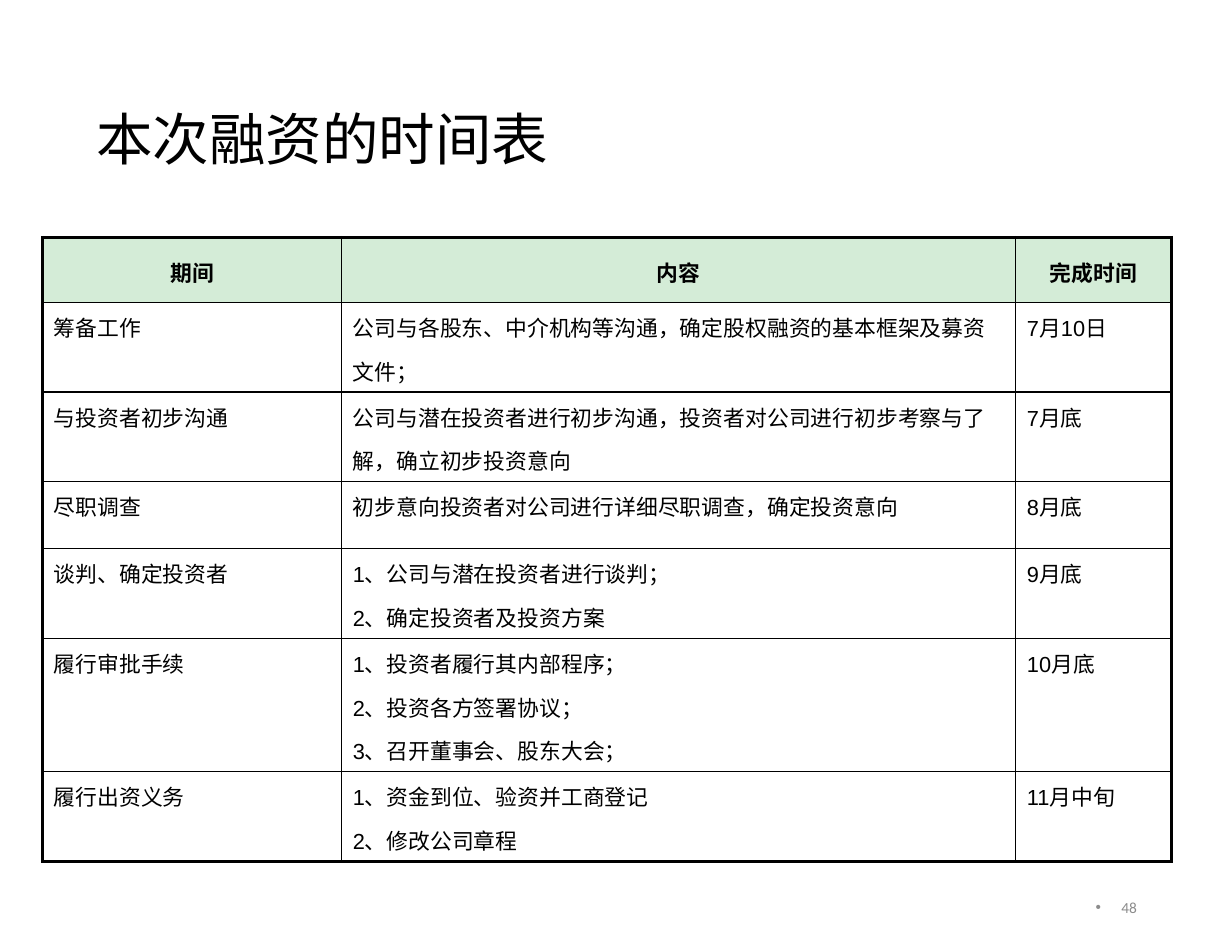
from lxml.etree import SubElement
from pptx import Presentation
from pptx.dml.color import RGBColor
from pptx.enum.text import MSO_ANCHOR, MSO_AUTO_SIZE, PP_ALIGN
from pptx.oxml.ns import qn
from pptx.util import Inches, Pt

BLACK = RGBColor(0x00, 0x00, 0x00)
GRAY = RGBColor(0x8C, 0x8C, 0x8C)
HEADER_GREEN = RGBColor(0xD4, 0xEC, 0xD7)

THIN, THICK = 1, 2.25
COLUMN_WIDTHS = [2.67, 6.02, 1.39]
ROW_HEIGHTS = [0.58, 0.8, 0.8, 0.6, 0.8, 1.19, 0.8]
HANGING_ROWS = (1, 2, 3)
SCHEDULE = [
    ("期间", "内容", "完成时间"),
    ("筹备工作", "公司与各股东、中介机构等沟通，确定股权融资的基本框架及募资\n文件；", "7月10日"),
    ("与投资者初步沟通", "公司与潜在投资者进行初步沟通，投资者对公司进行初步考察与了\n解，确立初步投资意向", "7月底"),
    ("尽职调查", "初步意向投资者对公司进行详细尽职调查，确定投资意向", "8月底"),
    ("谈判、确定投资者", "1、公司与潜在投资者进行谈判；\n2、确定投资者及投资方案", "9月底"),
    ("履行审批手续", "1、投资者履行其内部程序；\n2、投资各方签署协议；\n3、召开董事会、股东大会；", "10月底"),
    ("履行出资义务", "1、资金到位、验资并工商登记\n2、修改公司章程", "11月中旬"),
]


class ScheduleSlide:
    """Holds the style and the current slide and adds each kind of element."""

    def __init__(self, presentation):
        self.font_name = "Arial"
        self.slide = presentation.slides.add_slide(presentation.slide_layouts[5])

    def add_run(self, paragraph, text, size, color=BLACK, bold=False, font_name=None):
        run = paragraph.add_run()
        run.text = text
        run.font.name = font_name or self.font_name
        run.font.size = Pt(size)
        run.font.bold = bold
        run.font.color.rgb = color

    def add_title(self, text, left, top, width, height):
        title = self.slide.shapes.title
        title.left, title.top = Inches(left), Inches(top)
        title.width, title.height = Inches(width), Inches(height)
        frame = title.text_frame
        frame.auto_size = MSO_AUTO_SIZE.NONE
        frame.vertical_anchor = MSO_ANCHOR.MIDDLE
        paragraph = frame.paragraphs[0]
        paragraph.alignment = PP_ALIGN.LEFT
        paragraph.line_spacing = 0.9
        self.add_run(paragraph, text, 36.3)

    def add_page_number(self, text, left, top, width, height):
        box = self.slide.shapes.add_textbox(Inches(left), Inches(top), Inches(width), Inches(height))
        frame = box.text_frame
        frame.word_wrap = True
        frame.vertical_anchor = MSO_ANCHOR.MIDDLE
        paragraph = frame.paragraphs[0]
        paragraph.alignment = PP_ALIGN.RIGHT
        self.set_indent(paragraph, 0.23)
        properties = paragraph._p.get_or_add_pPr()
        SubElement(properties, qn("a:buFont"), typeface="Arial")
        SubElement(properties, qn("a:buChar"), char="•")
        self.add_run(paragraph, text, 9.9, GRAY, font_name="Calibri")

    def set_indent(self, paragraph, hanging):
        properties = paragraph._p.get_or_add_pPr()
        properties.set("marL", str(Inches(hanging)))
        properties.set("indent", str(-Inches(hanging)))

    def set_borders(self, cell, widths):
        properties = cell._tc.get_or_add_tcPr()
        for side, width in widths.items():
            line = SubElement(properties, qn(f"a:ln{side}"), w=str(Pt(width)))
            fill = SubElement(line, qn("a:solidFill"))
            SubElement(fill, qn("a:srgbClr"), val=str(BLACK))

    def fill_cell(self, cell, text, header, hanging):
        cell.vertical_anchor = MSO_ANCHOR.MIDDLE if header else MSO_ANCHOR.TOP
        if header:
            cell.fill.solid()
            cell.fill.fore_color.rgb = HEADER_GREEN
        else:
            cell.fill.background()
        frame = cell.text_frame
        for index, line in enumerate(text.split("\n")):
            paragraph = frame.add_paragraph() if index else frame.paragraphs[0]
            paragraph.alignment = PP_ALIGN.CENTER if header else PP_ALIGN.JUSTIFY
            paragraph.line_spacing = 1.1
            spacing = SubElement(paragraph._p.get_or_add_pPr(), qn("a:spcAft"))
            SubElement(spacing, qn("a:spcPct"), val="40000")
            if hanging:
                self.set_indent(paragraph, 0.29)
            self.add_run(paragraph, line, 14, bold=header)

    def add_schedule(self, rows, left, top):
        last_row, last_column = len(rows) - 1, len(COLUMN_WIDTHS) - 1
        frame = self.slide.shapes.add_table(
            len(rows), len(COLUMN_WIDTHS), Inches(left), Inches(top),
            Inches(sum(COLUMN_WIDTHS)), Inches(sum(ROW_HEIGHTS)))
        table = frame.table
        table.first_row = table.horz_banding = False
        for column, width in zip(table.columns, COLUMN_WIDTHS):
            column.width = Inches(width)
        for row, height in zip(table.rows, ROW_HEIGHTS):
            row.height = Inches(height)
        for row_index, texts in enumerate(rows):
            for column_index, text in enumerate(texts):
                cell = table.cell(row_index, column_index)
                self.set_borders(cell, {
                    "L": THICK if column_index == 0 else THIN,
                    "R": THICK if column_index == last_column else THIN,
                    "T": THICK if row_index == 0 else THIN,
                    "B": THICK if row_index == last_row else THIN,
                })
                hanging = column_index == 1 and row_index in HANGING_ROWS
                self.fill_cell(cell, text, row_index == 0, hanging)


def main():
    presentation = Presentation()
    presentation.slide_width = Inches(11)
    presentation.slide_height = Inches(8.5)
    slide = ScheduleSlide(presentation)
    slide.add_title("本次融资的时间表", 0.76, 0.45, 9.49, 1.64)
    slide.add_page_number("48", 7.77, 7.88, 2.48, 0.45)
    slide.add_schedule(SCHEDULE, 0.38, 2.12)
    presentation.save("out.pptx")


if __name__ == "__main__":
    main()
